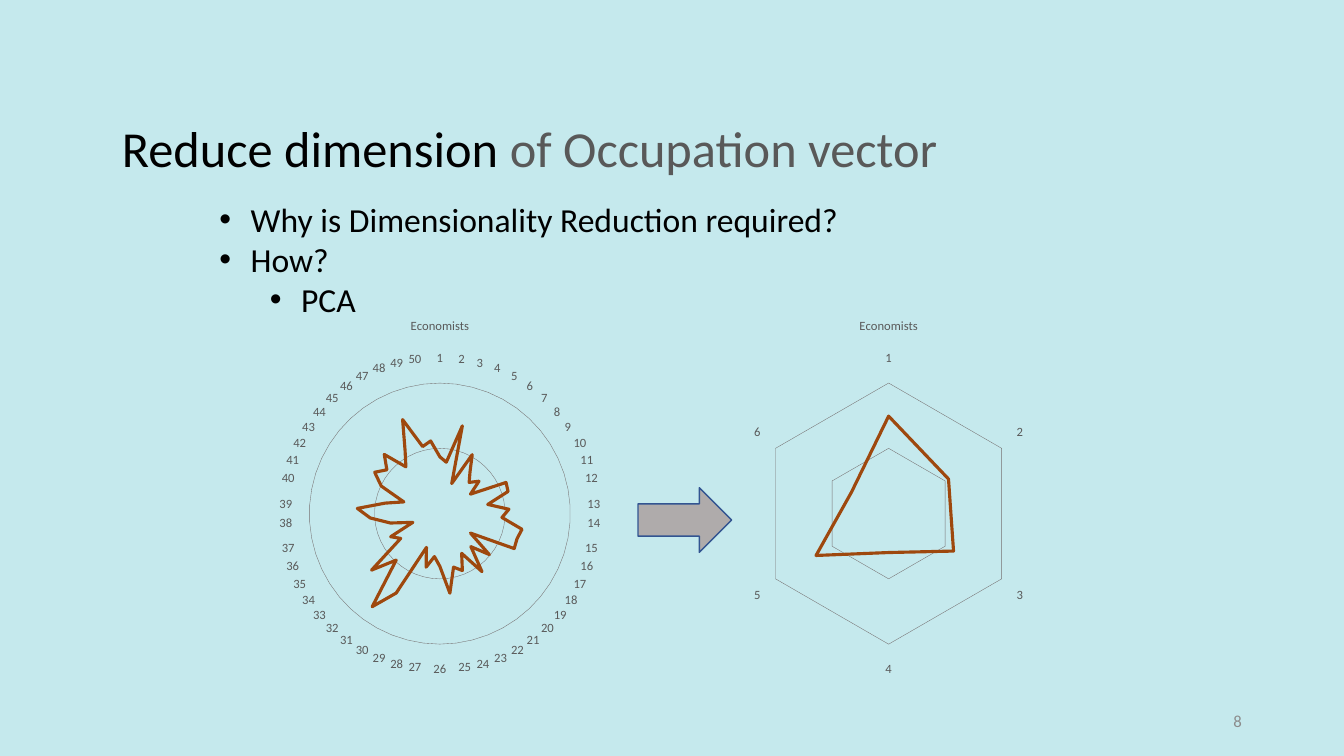
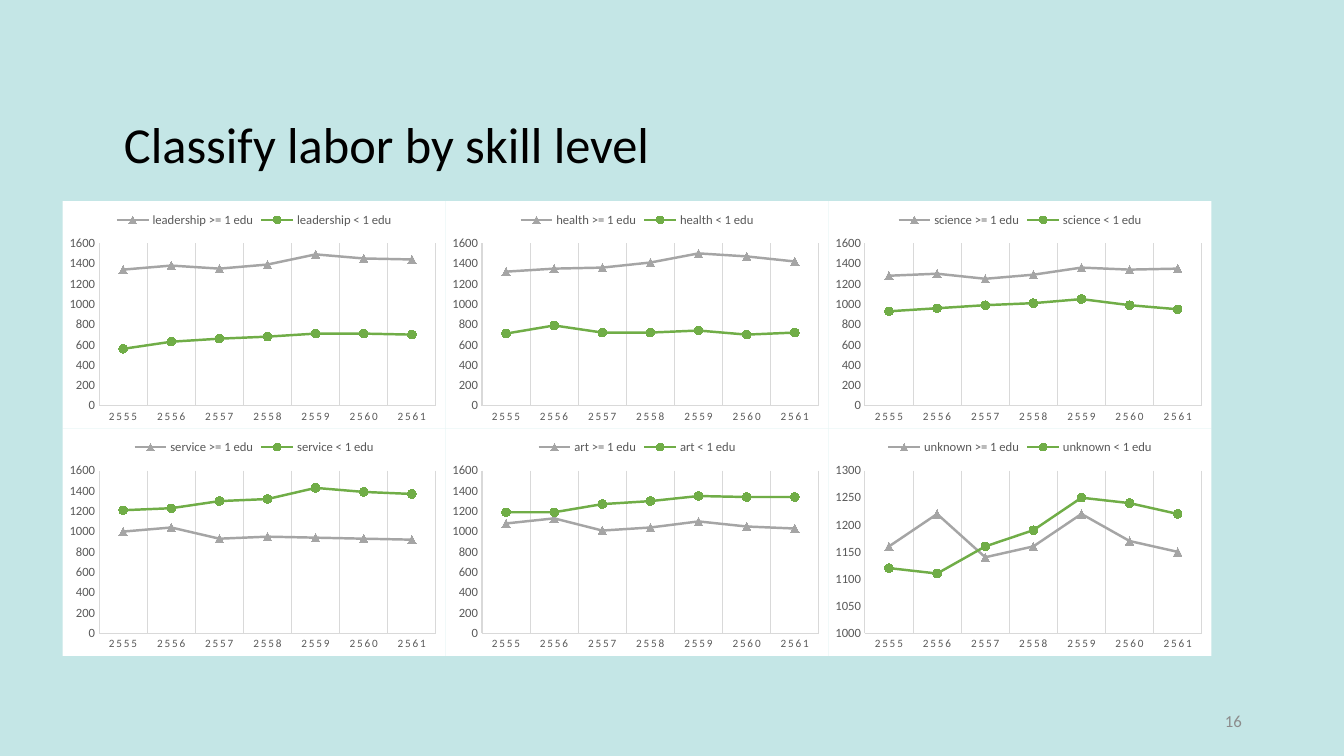
import pptx
import pptx.util
import pptx.chart.data
import pptx.dml.color
import pptx.enum.chart
import pptx.enum.shapes
import pptx.enum.text
import pptx.oxml
import pptx.oxml.ns
from lxml import etree

Cm, Pt = pptx.util.Cm, pptx.util.Pt
RGB = pptx.dml.color.RGBColor
qn = pptx.oxml.ns.qn
XL = pptx.enum.chart
ALIGN = pptx.enum.text.PP_ALIGN
MIDDLE = pptx.enum.text.MSO_ANCHOR.MIDDLE
FIT = pptx.enum.text.MSO_AUTO_SIZE.SHAPE_TO_FIT_TEXT

# Shared look
FONT = "Calibri"
BLACK = RGB(0x00, 0x00, 0x00)
WHITE = RGB(0xFF, 0xFF, 0xFF)
DARK_GRAY = RGB(0x59, 0x59, 0x59)
NUMBER_GRAY = RGB(0x8C, 0x8C, 0x8C)
RULE_GRAY = RGB(0xD9, 0xD9, 0xD9)
RING_GRAY = RGB(0x76, 0x71, 0x71)
SERIES_GRAY = RGB(0xA5, 0xA5, 0xA5)
SERIES_GREEN = RGB(0x70, 0xAD, 0x47)
RUST = RGB(0x9E, 0x48, 0x0E)
ARROW_FILL = RGB(0xAF, 0xAB, 0xAB)
ARROW_LINE = RGB(0x32, 0x54, 0x91)
SKY = RGB(0xC5, 0xE9, 0xED)
AQUA = RGB(0xC4, 0xE6, 0xE6)

# Chart data
OCCUPATION = [
    -17, -27, 51, -66, 4, -28, -45, -29, -58, 16, 13, -33, 8, -6, 37, 32, 34,
    -58, -2, -40, 13, -40, -8, -20, 30, -25, -44, -20, -58, 51, 100, -3, 47,
    -38, -22, -74, -30, 9, 35, -19, -55, -1, 24, 7, 32, -15, 14, 72, 8, 16]
REDUCED = [100, 71, 77, 40, 86, 44]
YEARS = [str(year) for year in range(2555, 2562)]
SKILLS = [  # group, values for >= 1 edu, values for < 1 edu
    ("leadership", [1340, 1380, 1350, 1390, 1490, 1450, 1440],
     [560, 630, 660, 680, 710, 710, 700]),
    ("health", [1320, 1350, 1360, 1410, 1500, 1470, 1420],
     [710, 790, 720, 720, 740, 700, 720]),
    ("science", [1280, 1300, 1250, 1290, 1360, 1340, 1350],
     [930, 960, 990, 1010, 1050, 990, 950]),
    ("service", [1000, 1040, 930, 950, 940, 930, 920],
     [1210, 1230, 1300, 1320, 1430, 1390, 1370]),
    ("art", [1080, 1130, 1010, 1040, 1100, 1050, 1030],
     [1190, 1190, 1270, 1300, 1350, 1340, 1340]),
    ("unknown", [1160, 1220, 1140, 1160, 1220, 1170, 1150],
     [1120, 1110, 1160, 1190, 1250, 1240, 1220]),
]


# Text
def format_font(font, size, color):
    font.name, font.size, font.bold = FONT, Pt(size), False
    font.color.rgb = color


def add_run(p, text, size=24, color=BLACK):
    r = p.add_run()
    r.text = text
    format_font(r.font, size, color)


def add_textbox(s, x, y, w, h):
    tf = s.shapes.add_textbox(Cm(x), Cm(y), Cm(w), Cm(h)).text_frame
    tf.word_wrap = True
    return tf


def add_slide(prs, background, number, title_box, title_runs):
    s = prs.slides.add_slide(prs.slide_layouts[5])
    s.background.fill.solid()
    s.background.fill.fore_color.rgb = background

    title = s.shapes.title
    title.left, title.top, title.width, title.height = map(Cm, title_box)
    tf = title.text_frame
    tf.word_wrap, tf.auto_size, tf.vertical_anchor = True, FIT, MIDDLE
    p = tf.paragraphs[0]
    p.alignment, p.line_spacing, p.space_before = ALIGN.LEFT, 1.5, Pt(12)
    for text, color in title_runs:
        add_run(p, text, size=36, color=color)

    tf = add_textbox(s, 23.93, 17.65, 7.62, 1.02)
    tf.vertical_anchor = MIDDLE
    tf.paragraphs[0].alignment = ALIGN.RIGHT
    add_run(tf.paragraphs[0], number, size=12, color=NUMBER_GRAY)
    return s


def add_bullets(s, x, y, w, h, items):
    tf = add_textbox(s, x, y, w, h)
    tf.auto_size = FIT
    for i, (level, text) in enumerate(items):
        p = tf.paragraphs[0] if i == 0 else tf.add_paragraph()
        p.level = level
        pPr = p._p.get_or_add_pPr()
        pPr.set("marL", str(Cm(0.79 + 1.27 * level)))
        pPr.set("indent", str(-Cm(0.79)))
        etree.SubElement(pPr, qn("a:buFont")).set("typeface", "Arial")
        etree.SubElement(pPr, qn("a:buChar")).set("char", "•")
        add_run(p, text)


# Charts
def area_format(color=None):
    fill = (f'<a:solidFill><a:srgbClr val="{color}"/></a:solidFill>'
            if color else "<a:noFill/>")
    return pptx.oxml.parse_xml(
        f'<c:spPr {pptx.oxml.ns.nsdecls("c", "a")}>{fill}'
        "<a:ln><a:noFill/></a:ln></c:spPr>")


def set_plot_layout(plot_area, x, y, w, h):
    """Place the inner plot area, in fractions of the chart."""
    for old in plot_area.findall(qn("c:layout")):
        plot_area.remove(old)
    layout = etree.Element(qn("c:layout"))
    manual = etree.SubElement(layout, qn("c:manualLayout"))
    for tag, value in (("layoutTarget", "inner"), ("xMode", "edge"),
                       ("yMode", "edge"), ("x", x), ("y", y),
                       ("w", w), ("h", h)):
        etree.SubElement(manual, qn(f"c:{tag}")).set("val", str(value))
    plot_area.insert(0, layout)


def set_line(line, color, width):
    line.color.rgb = color
    line.width = Pt(width)


def format_axis(axis, size):
    axis.major_tick_mark = axis.minor_tick_mark = XL.XL_TICK_MARK.NONE
    format_font(axis.tick_labels.font, size, DARK_GRAY)
    set_line(axis.format.line, RULE_GRAY, 0.75)


def set_scale(axis, low, high, step):
    axis.minimum_scale, axis.maximum_scale, axis.major_unit = low, high, step


def add_chart(s, kind, box, categories, series, plot, fill=None):
    data = pptx.chart.data.CategoryChartData(number_format="General")
    data.categories = categories
    for name, values in series:
        data.add_series(name, values)
    chart = s.shapes.add_chart(kind, *map(Cm, box), data).chart
    format_font(chart.font, 10, BLACK)
    chart.plots[0].vary_by_categories = False
    for line in chart.plots[0].series:
        line.smooth = False
    area = chart.element.find(qn("c:chart"))
    area.addnext(area_format(fill))
    plot_area = area.find(qn("c:plotArea"))
    plot_area.append(area_format())
    set_plot_layout(plot_area, *plot)
    return chart


def add_radar(s, x, w, values, scale):
    height, plot_h = 9.68, 0.68
    plot_w = round(plot_h * height / w, 3)
    plot = (round((1 - plot_w) / 2, 3), 0.21, plot_w, plot_h)
    categories = [str(i + 1) for i in range(len(values))]
    chart = add_chart(s, XL.XL_CHART_TYPE.RADAR, (x, 7.62, w, height),
                      categories, [("Economists", values)], plot)
    chart.has_legend = False
    chart.has_title = True
    add_run(chart.chart_title.text_frame.paragraphs[0], "Economists",
            size=9, color=DARK_GRAY)
    format_axis(chart.category_axis, 9)
    chart.category_axis.has_major_gridlines = False
    axis = chart.value_axis
    axis.visible = False
    set_scale(axis, *scale)
    set_line(axis.major_gridlines.format.line, RING_GRAY, 0.25)
    set_line(chart.plots[0].series[0].format.line, RUST, 2.25)


def add_skill_chart(s, box, group, higher, lower):
    series = [(f"{group} >= 1 edu", higher), (f"{group} < 1 edu", lower)]
    chart = add_chart(s, XL.XL_CHART_TYPE.LINE_MARKERS, box, YEARS, series,
                      (0.095, 0.185, 0.88, 0.715), fill=WHITE)
    chart.has_title = False
    chart.has_legend = True
    chart.legend.position = XL.XL_LEGEND_POSITION.TOP
    chart.legend.include_in_layout = False
    format_font(chart.legend.font, 9, DARK_GRAY)

    format_axis(chart.category_axis, 8)
    chart.category_axis.has_major_gridlines = True
    set_line(chart.category_axis.major_gridlines.format.line, RULE_GRAY, 0.75)
    labels = chart.element.find(f".//{qn('c:catAx')}//{qn('a:defRPr')}")
    labels.set("spc", "120")
    format_axis(chart.value_axis, 9)
    chart.value_axis.has_major_gridlines = False
    set_scale(chart.value_axis,
              *((1000, 1300, 50) if group == "unknown" else (0, 1600, 200)))

    styles = ((SERIES_GRAY, XL.XL_MARKER_STYLE.TRIANGLE),
              (SERIES_GREEN, XL.XL_MARKER_STYLE.CIRCLE))
    for line, (color, symbol) in zip(chart.plots[0].series, styles):
        set_line(line.format.line, color, 1.75)
        marker = line.marker
        marker.style, marker.size = symbol, 6
        marker.format.fill.solid()
        marker.format.fill.fore_color.rgb = color
        set_line(marker.format.line, color, 0.75)


def add_arrow(s, x, y, w, h):
    arrow = s.shapes.add_shape(pptx.enum.shapes.MSO_SHAPE.RIGHT_ARROW,
                               Cm(x), Cm(y), Cm(w), Cm(h))
    arrow.shadow.inherit = False
    arrow.fill.solid()
    arrow.fill.fore_color.rgb = ARROW_FILL
    set_line(arrow.line, ARROW_LINE, 1)


# Slides
def build_dimension_slide(prs):
    s = add_slide(prs, SKY, "8", (2.82, 2.16, 30.86, 2.36),
                  [("Reduce dimension ", BLACK),
                   ("of Occupation vector", DARK_GRAY)])
    add_bullets(s, 5.28, 4.88, 22.33, 3.33,
                [(0, "Why is Dimensionality Reduction required?"),
                 (0, "How?"), (1, "PCA")])
    add_radar(s, 14.33, 16.13, REDUCED, (0, 134, 67))
    add_radar(s, 3.4, 15.37, OCCUPATION, (-131, 131, 131))
    add_arrow(s, 16.08, 12.29, 2.36, 1.63)


def build_skill_slide(prs):
    s = add_slide(prs, AQUA, "16", (2.87, 2.06, 19.23, 2.34),
                  [("Classify labor by skill level", BLACK)])
    left, top, w, h, columns = 1.58, 5.07, 9.65, 5.73, 3
    for i, skill in enumerate(SKILLS):
        row, column = divmod(i, columns)
        add_skill_chart(s, (left + column * w, top + row * h, w, h), *skill)


def main():
    prs = pptx.Presentation()
    prs.slide_width, prs.slide_height = Cm(33.87), Cm(19.05)
    build_dimension_slide(prs)
    build_skill_slide(prs)
    prs.save("out.pptx")


if __name__ == "__main__":
    main()
